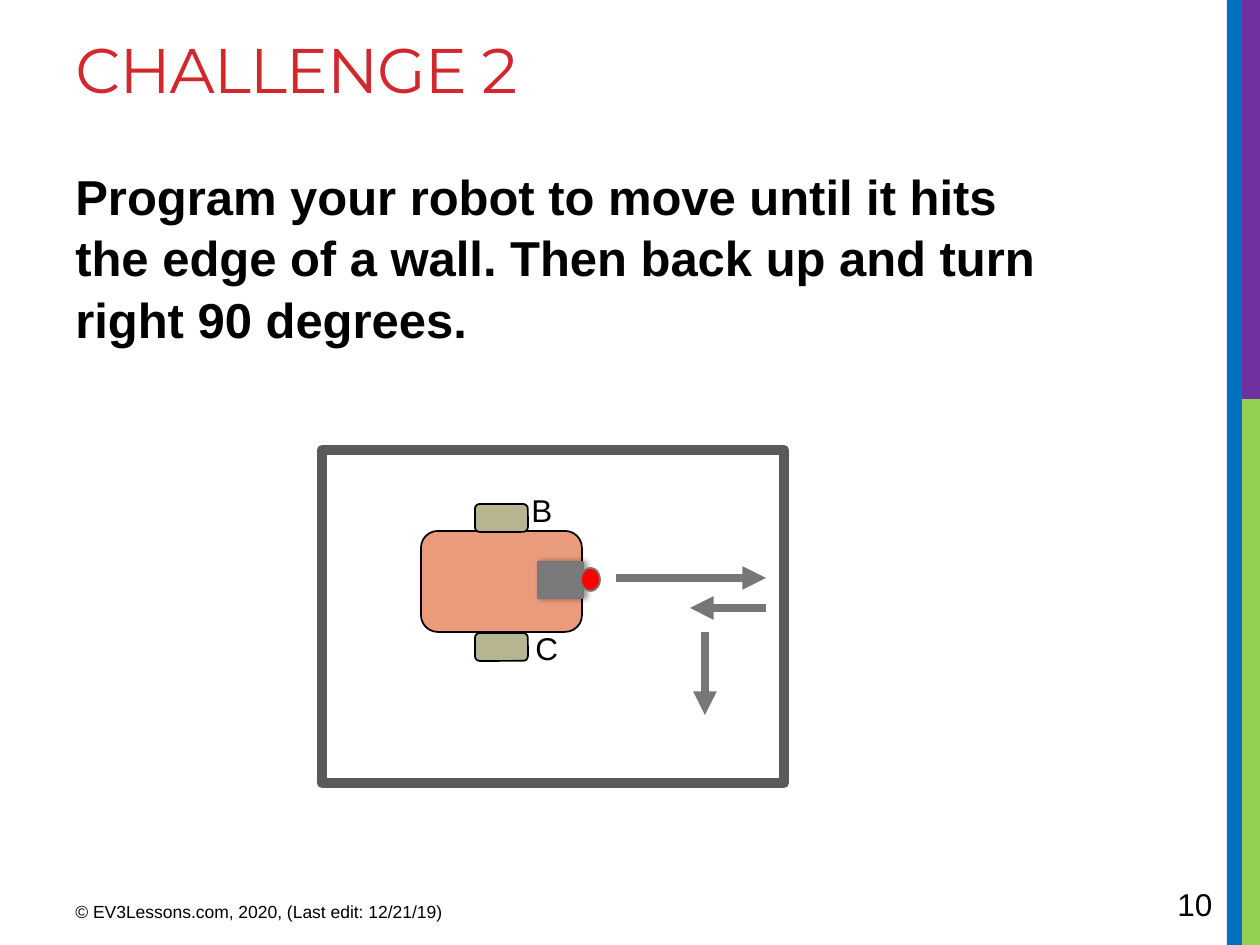
from lxml import etree
from pptx import Presentation
from pptx.dml.color import RGBColor
from pptx.enum.shapes import MSO_CONNECTOR, MSO_SHAPE
from pptx.enum.text import MSO_ANCHOR
from pptx.oxml.ns import qn
from pptx.util import Emu, Pt

RECTANGLE = MSO_SHAPE.RECTANGLE
ROUNDED = MSO_SHAPE.ROUNDED_RECTANGLE
OVAL = MSO_SHAPE.OVAL
STRAIGHT = MSO_CONNECTOR.STRAIGHT
TOP, BOTTOM = MSO_ANCHOR.TOP, MSO_ANCHOR.BOTTOM

WIDTH, HEIGHT = 1260, 945
BLACK, ARROW_GRAY = "000000", "777777"


def px(length):
    return Emu(round(length * 914400 / 126))


def color(value):
    return RGBColor.from_string(value)


def add_shape(slide, kind, left, top, width, height, fill=None, line=None, weight=1):
    shape = slide.shapes.add_shape(kind, px(left), px(top), px(width), px(height))
    shape.shadow.inherit = False
    if fill:
        shape.fill.solid()
        shape.fill.fore_color.rgb = color(fill)
    else:
        shape.fill.background()
    if line:
        shape.line.color.rgb = color(line)
        shape.line.width = Pt(weight)
    else:
        shape.line.fill.background()
    return shape


def add_text(slide, text, left, top, width, height, size, font="Arial",
             ink=BLACK, bold=False, anchor=TOP):
    box = slide.shapes.add_textbox(px(left), px(top), px(width), px(height))
    frame = box.text_frame
    frame.word_wrap = True
    frame.vertical_anchor = anchor
    paragraph = frame.paragraphs[0]
    paragraph.text = text
    paragraph.font.size = Pt(size)
    paragraph.font.name = font
    paragraph.font.bold = bold
    paragraph.font.color.rgb = color(ink)
    return paragraph


def add_arrow(slide, start_x, start_y, end_x, end_y):
    arrow = slide.shapes.add_connector(
        STRAIGHT, px(start_x), px(start_y), px(end_x), px(end_y))
    arrow.line.color.rgb = color(ARROW_GRAY)
    arrow.line.width = Pt(4.5)
    etree.SubElement(arrow.line._get_or_add_ln(), qn("a:tailEnd"), type="triangle")
    etree.SubElement(arrow._element.spPr, qn("a:effectLst"))


def add_soft_shadow(shape):
    effects = shape._element.spPr.find(qn("a:effectLst"))
    shadow = etree.SubElement(effects, qn("a:outerShdw"), blurRad=str(Pt(3.1)),
                              dist=str(Pt(1.8)), dir="0", rotWithShape="0")
    ink = etree.SubElement(shadow, qn("a:srgbClr"), val=BLACK)
    etree.SubElement(ink, qn("a:alpha"), val="40000")


def add_side_stripes(slide, left):
    split = 399
    add_shape(slide, RECTANGLE, left + 13, split, 20, HEIGHT - split, "92D050")
    add_shape(slide, RECTANGLE, left + 8, 0, 25, split, "7030A0")
    add_shape(slide, RECTANGLE, left, 0, 15, HEIGHT, "0070C0")


def add_wording(slide, left):
    title = add_text(slide, "CHALLENGE 2", left, 24, 1137, 100, 36,
                     "Montserrat", "D1282E")
    title.runs[0]._r.get_or_add_rPr().set("spc", "-60")
    body = add_text(slide, "Program your robot to move until it hits the edge of a wall. "
                    "Then back up and turn right 90 degrees.",
                    left, 157, 1022, 200, 28, bold=True)
    body.line_spacing = 1.05


def add_footer(slide, left, top):
    add_text(slide, "© EV3Lessons.com, 2020, (Last edit: 12/21/19)",
             left, top + 17, 473, 39, 10)
    add_text(slide, "10", left + 1102, top, 87, 51, 18, anchor=BOTTOM)


def add_robot(slide, left, top):
    add_shape(slide, ROUNDED, left, top, 161, 101, "EA9B7C", BLACK)
    # Wheels and their motor ports
    for wheel_top, port, port_left, port_top in ((-27, "B", 98, -46), (102, "C", 102, 92)):
        add_shape(slide, ROUNDED, left + 54, top + wheel_top, 53, 28, "B6B590", BLACK)
        add_text(slide, port, left + port_left, top + port_top, 64, 50, 18)
    # Touch sensor with its red button
    sensor = add_shape(slide, RECTANGLE, left + 117, top + 31, 45, 36, "7A7A7A", ARROW_GRAY)
    add_soft_shadow(sensor)
    add_shape(slide, OVAL, left + 160, top + 37, 19, 23, "FF0000", ARROW_GRAY)


def add_arena(slide, left, top):
    add_shape(slide, RECTANGLE, left, top, 462, 333, line="5A5A5A", weight=6)
    # Forward, back up, turn right
    add_arrow(slide, left + 294, top + 128, left + 444, top + 128)
    add_arrow(slide, left + 444, top + 158, left + 368, top + 158)
    add_arrow(slide, left + 383, top + 182, left + 383, top + 265)
    add_robot(slide, left + 99, top + 81)


def main():
    presentation = Presentation()
    presentation.slide_width, presentation.slide_height = px(WIDTH), px(HEIGHT)
    slide = presentation.slides.add_slide(presentation.slide_layouts[6])
    add_side_stripes(slide, 1227)
    add_wording(slide, 63)
    add_footer(slide, 63, 878)
    add_arena(slide, 322, 450)
    presentation.save("out.pptx")


if __name__ == "__main__":
    main()
